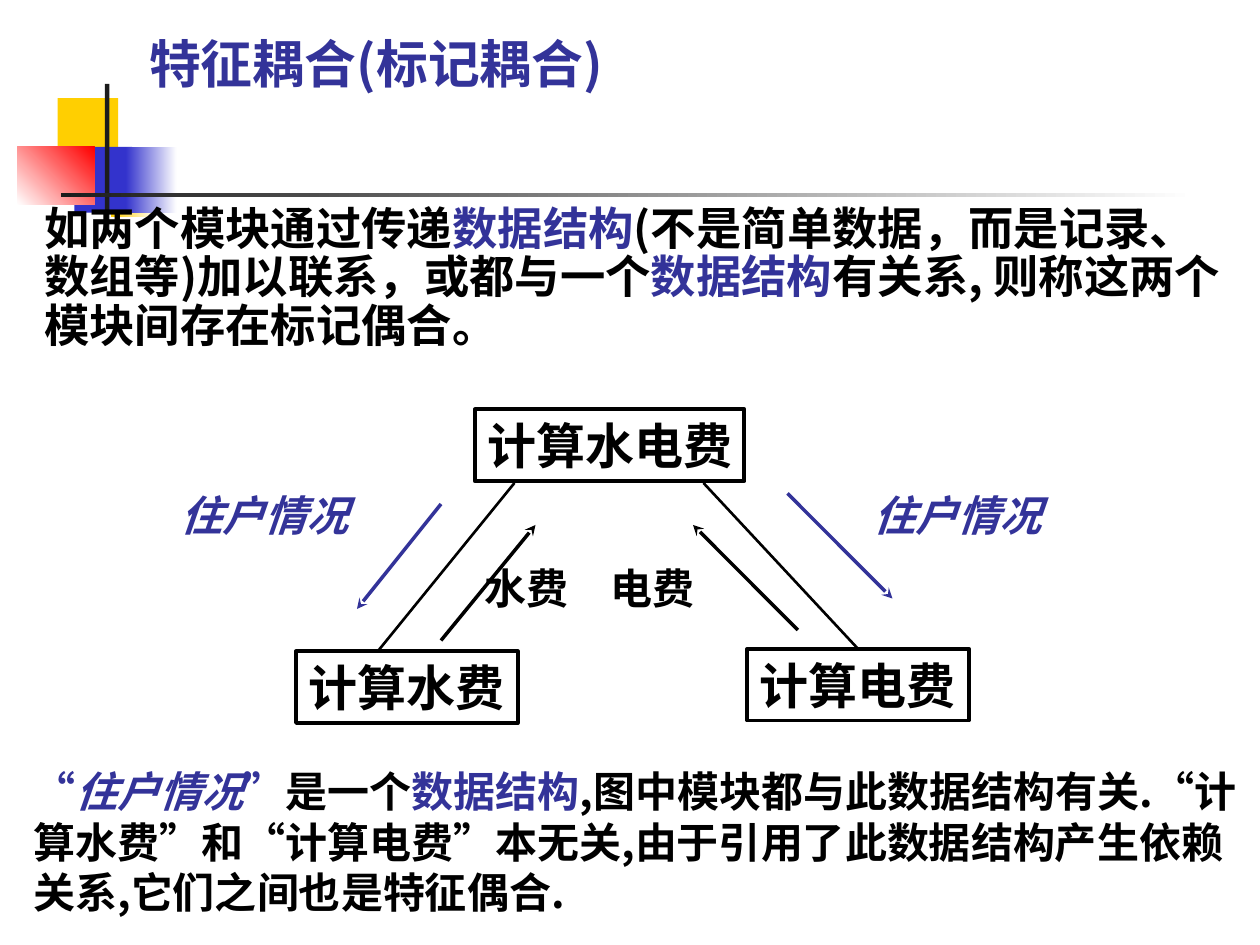
from typing import NamedTuple

from lxml import etree
from pptx import Presentation
from pptx import util as u
from pptx.dml.color import RGBColor
from pptx.enum import shapes as es
from pptx.enum import text as et
from pptx.oxml.ns import qn

FONT = "Noto Sans CJK SC"
BLUE, BLACK, DARK, GOLD = "333399", "000000", "1C1C1C", "FFCF01"
WHITE, RED, ROYAL = "FFFFFF", "FF0000", "3333CC"


class Block(NamedTuple):
    x: float
    y: float
    w: float
    h: float
    hue: str
    fade: str = ""
    angle: int = 0


class Label(NamedTuple):
    x: float
    y: float
    w: float
    h: float
    words: str
    hue: str = BLACK
    slant: bool = False


class Line(NamedTuple):
    x1: float
    y1: float
    x2: float
    y2: float
    hue: str = BLACK
    width: float = 2
    arrow: bool = True


def rgb(hue: str) -> RGBColor:
    return RGBColor.from_string(hue)


def write(shape, *runs, size=24, hue=BLACK, slant=False, wrap=True,
          anchor=et.MSO_ANCHOR.TOP, fit=et.MSO_AUTO_SIZE.NONE, space=1.0):
    """Fill a shape with one paragraph; a run is text or (text, hue, slant)."""
    frame = shape.text_frame
    frame.auto_size, frame.word_wrap = fit, wrap
    frame.vertical_anchor = anchor
    frame.margin_left = frame.margin_right = u.Pt(7.2)
    frame.margin_top = frame.margin_bottom = u.Pt(3.6)
    para = frame.paragraphs[0]
    para.alignment, para.line_spacing = et.PP_ALIGN.LEFT, space
    para.space_before = u.Pt(0)
    for item in runs:
        words, tint, lean = (item, hue, slant) if isinstance(item, str) else item
        run = para.add_run()
        run.text = words
        font = run.font
        font.name, font.size = FONT, u.Pt(size)
        font.bold, font.italic = True, lean
        font.color.rgb = rgb(tint)
        etree.SubElement(run._r.rPr, qn("a:ea"), typeface=FONT)
    return para


def place(shape, x: float, y: float, w: float, h: float):
    shape.left, shape.top = u.Pt(x), u.Pt(y)
    shape.width, shape.height = u.Pt(w), u.Pt(h)


def add_rect(slide, x: float, y: float, w: float, h: float):
    rect = slide.shapes.add_shape(es.MSO_SHAPE.RECTANGLE, *map(u.Pt, (x, y, w, h)))
    rect.shadow.inherit = False
    return rect


def add_block(slide, block: Block):
    rect = add_rect(slide, *block[:4])
    rect.line.fill.background()
    if block.fade:
        rect.fill.gradient()
        rect.fill.gradient_angle = block.angle
        for stop, hue in zip(rect.fill.gradient_stops, (block.hue, block.fade)):
            stop.color.rgb = rgb(hue)
    else:
        rect.fill.solid()
        rect.fill.fore_color.rgb = rgb(block.hue)


def add_box(slide, label: Label):
    rect = add_rect(slide, *label[:4])
    rect.fill.background()
    rect.line.color.rgb = rgb(label.hue)
    rect.line.width = u.Pt(2.25)
    write(rect, label.words, size=28, wrap=False,
          fit=et.MSO_AUTO_SIZE.SHAPE_TO_FIT_TEXT)
    return rect


def add_label(slide, label: Label, *runs):
    box = slide.shapes.add_textbox(*map(u.Pt, label[:4]))
    write(box, *(runs or [label.words]), hue=label.hue, slant=label.slant,
          fit=et.MSO_AUTO_SIZE.SHAPE_TO_FIT_TEXT)


def add_line(slide, line: Line):
    link = slide.shapes.add_connector(es.MSO_CONNECTOR.STRAIGHT, *map(u.Pt, line[:4]))
    link.line.color.rgb = rgb(line.hue)
    link.line.width = u.Pt(line.width)
    if line.arrow:
        etree.SubElement(link.line._get_or_add_ln(), qn("a:tailEnd"), type="stealth")
    etree.SubElement(link._element.spPr, qn("a:effectLst"))
    return link


BLOCKS = [
    Block(33, 56, 34.5, 37.5, GOLD),
    Block(63.5, 86.5, 26, 37.5, GOLD, WHITE),
    Block(42.5, 84, 33, 37.5, ROYAL),
    Block(72, 84, 29, 37.5, ROYAL, WHITE),
    Block(10, 84, 44, 33, WHITE, RED, 45),
    Block(60, 48, 2.5, 83, DARK),
    Block(34.8, 110.3, 648, 2.6, DARK, WHITE),
]
BOXES = [
    Label(271.4, 234, 154, 41, "计算水电费"),
    Label(169.2, 372.2, 126.7, 41, "计算水费"),
    Label(427, 370.8, 126.7, 41, "计算电费"),
]
LABELS = [
    Label(96, 276, 126, 36, "住户情况", BLUE, True),
    Label(492, 276, 126, 36, "住户情况", BLUE, True),
    Label(270, 318, 72, 36, "水费"),
    Label(342, 318, 66, 36, "电费"),
]
ARROWS = [
    Line(252, 288, 204, 348, BLUE),
    Line(252, 366, 306, 300),
    Line(450, 282, 510, 342, BLUE),
    Line(456, 360, 396, 300),
]


def main():
    deck = Presentation()
    deck.slide_width, deck.slide_height = u.Pt(720), u.Pt(540)
    slide = deck.slides.add_slide(deck.slide_layouts[1])
    title, body = slide.placeholders

    # Corner ornament, kept behind the title and body
    for block in BLOCKS:
        add_block(slide, block)
    for holder in (title, body):
        slide.shapes._spTree.append(holder._element)

    # Title and definition
    place(title, 78, 4.5, 318, 67.5)
    write(title, "特征耦合(标记耦合)", size=29.6, hue=BLUE, space=0.9,
          anchor=et.MSO_ANCHOR.MIDDLE)
    place(body, 18, 114, 696, 102)
    term = ("数据结构", BLUE, False)
    para = write(body, "如两个模块通过传递", term,
                 "(不是简单数据，而是记录、数组等)加以联系，或都与一个", term,
                 "有关系, 则称这两个模块间存在标记偶合。", size=25.9, space=0.9)
    props = para._p.get_or_add_pPr()
    props.set("marL", "0")
    props.set("indent", "0")
    etree.SubElement(props, qn("a:buNone"))

    # Module diagram
    _, _, power = [add_box(slide, box) for box in BOXES]
    add_line(slide, Line(294, 276, 216, 372, width=1.5, arrow=False))
    branch = add_line(slide, Line(402, 276, 490, 371, width=1.5, arrow=False))
    branch.end_connect(power, 0)
    for arrow in ARROWS:
        add_line(slide, arrow)
    for label in LABELS:
        add_label(slide, label)

    # Explanation
    add_label(slide, Label(12, 434, 702, 93.6, ""),
              ("“", BLUE, False), ("住户情况", BLUE, True), ("”", BLUE, False),
              "是一个", term,
              ",图中模块都与此数据结构有关.“计算水费”和“计算电费”本无关,"
              "由于引用了此数据结构产生依赖关系,它们之间也是特征偶合.")

    deck.save("out.pptx")


if __name__ == "__main__":
    main()
